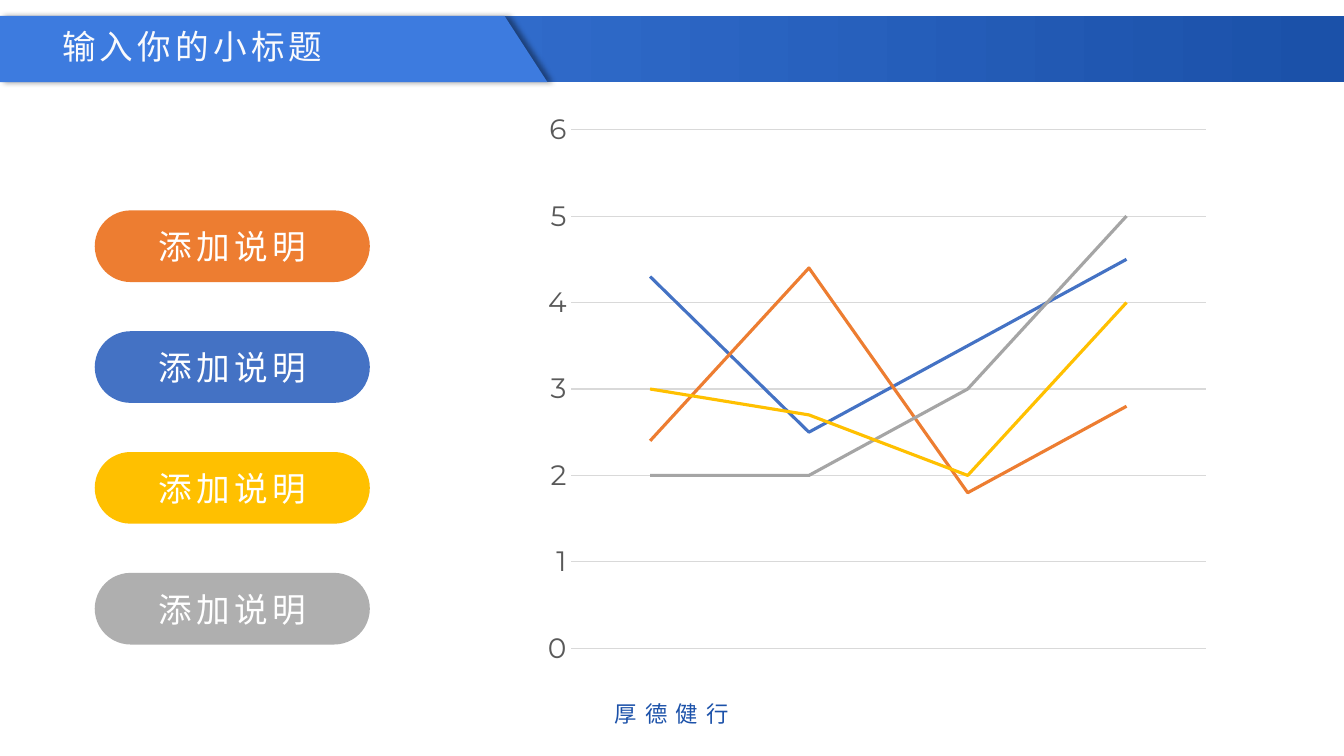
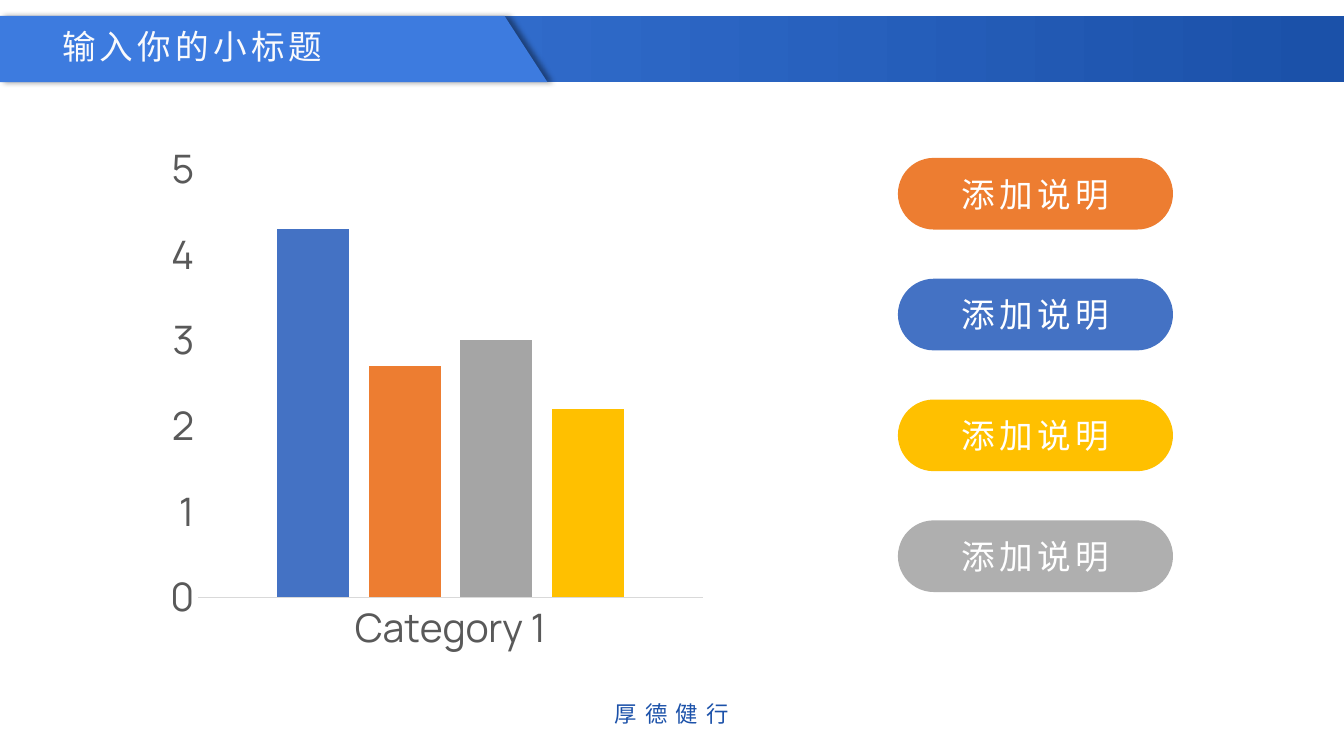
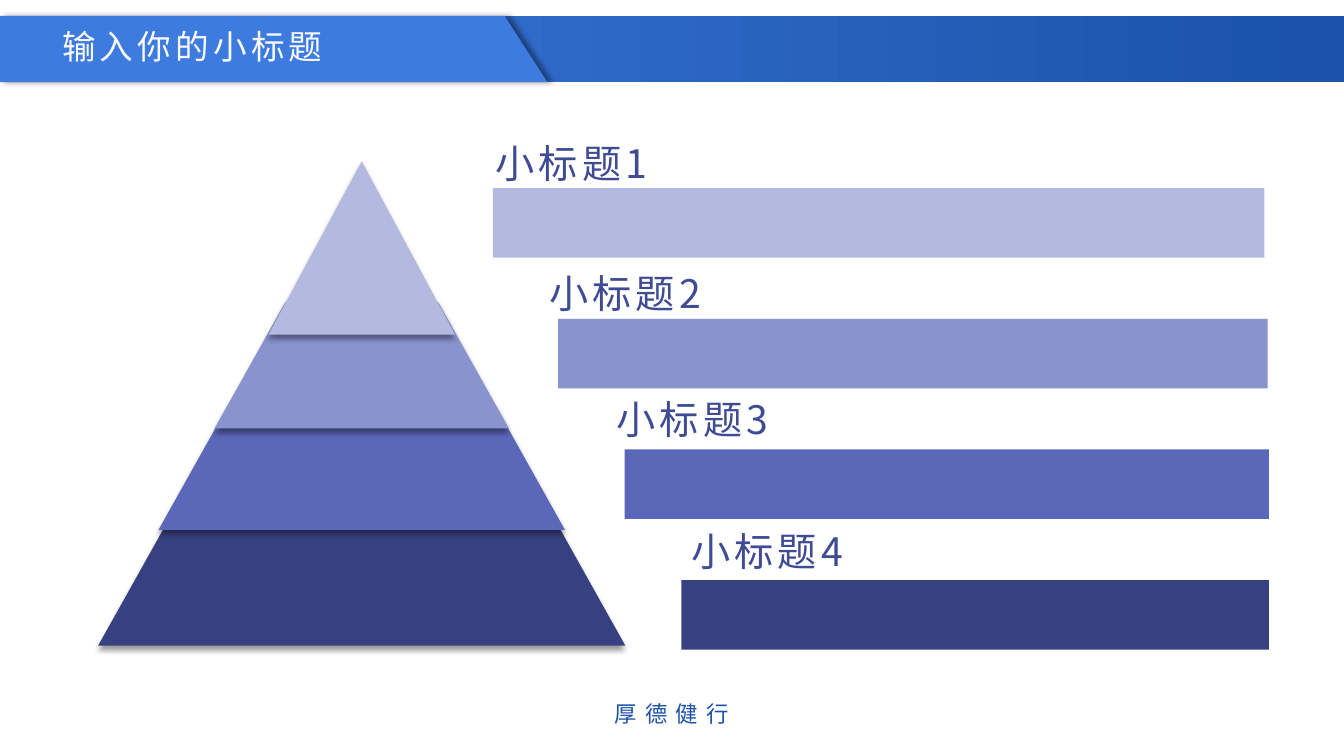
import pptx
import pptx.util
import pptx.chart.data
import pptx.dml.color
import pptx.enum.chart
import pptx.enum.shapes
import pptx.enum.text
import pptx.oxml
import pptx.oxml.ns

Pt = pptx.util.Pt
RGBColor = pptx.dml.color.RGBColor
SHAPE = pptx.enum.shapes.MSO_SHAPE
ALIGN = pptx.enum.text.PP_ALIGN
ANCHOR = pptx.enum.text.MSO_ANCHOR
KIND = pptx.enum.chart.XL_CHART_TYPE
TICK = pptx.enum.chart.XL_TICK_MARK
qn = pptx.oxml.ns.qn

# Colours
SKY = RGBColor(0x3D, 0x7B, 0xDF)
NAVY = RGBColor(0x1B, 0x51, 0xA9)
PALE = RGBColor(0xFA, 0xFA, 0xFC)
WHITE = RGBColor(0xFF, 0xFF, 0xFF)
BLUE = RGBColor(0x44, 0x72, 0xC4)
ORANGE = RGBColor(0xED, 0x7D, 0x31)
GOLD = RGBColor(0xFF, 0xC0, 0x00)
GREY = RGBColor(0xA5, 0xA5, 0xA5)
SILVER = RGBColor(0xAF, 0xAF, 0xAF)
RULE = RGBColor(0xD9, 0xD9, 0xD9)
AXIS = RGBColor(0x59, 0x59, 0x59)
INK = RGBColor(0x3F, 0x4B, 0x93)
TIERS = [RGBColor(0xB3, 0xB9, 0xDF), RGBColor(0x89, 0x93, 0xCD),
         RGBColor(0x5B, 0x68, 0xB9), RGBColor(0x37, 0x41, 0x81)]

# Shared sizes
WIDE, HIGH = 960, 540
FONT = "Noto Sans CJK SC"
BAND_TOP, BAND_HIGH = 11.4, 47.2
CHIPS = [ORANGE, BLUE, GOLD, SILVER]
CHIP_WIDE, CHIP_HIGH, CHIP_STEP = 196.5, 51.2, 86.3
LINES = [BLUE, ORANGE, GREY, GOLD]


# Text
def write(frame, text, size=24, color=WHITE, space=3, align=ALIGN.LEFT,
          lead=None, pad=(7.2, 3.6)):
    frame.word_wrap = True
    frame.auto_size = pptx.enum.text.MSO_AUTO_SIZE.NONE
    frame.vertical_anchor = ANCHOR.MIDDLE
    frame.margin_left = frame.margin_right = Pt(pad[0])
    frame.margin_top = frame.margin_bottom = Pt(pad[1])
    para = frame.paragraphs[0]
    para.alignment = align
    if lead:
        para.line_spacing = lead
    run = para.add_run()
    run.text = text
    run.font.size = Pt(size)
    run.font.name = FONT
    run.font.color.rgb = color
    props = run._r.get_or_add_rPr()
    props.set("spc", str(space * 100))
    east = pptx.oxml.parse_xml(
        f'<a:ea {pptx.oxml.ns.nsdecls("a")} typeface="{FONT}"/>')
    props.append(east)


def label(slide, text, left, top, width, height, **form):
    box = slide.shapes.add_textbox(Pt(left), Pt(top), Pt(width), Pt(height))
    write(box.text_frame, text, **form)


# Shapes
def paint(shape, color):
    shape.fill.solid()
    shape.fill.fore_color.rgb = color
    shape.line.fill.background()
    shape.shadow.inherit = False


def block(slide, kind, left, top, width, height, color):
    shape = slide.shapes.add_shape(kind, Pt(left), Pt(top), Pt(width), Pt(height))
    paint(shape, color)
    return shape


def shade(shape, angle):
    glow = pptx.oxml.parse_xml(
        f'<a:outerShdw {pptx.oxml.ns.nsdecls("a")} blurRad="{Pt(4)}" '
        f'dist="{Pt(3)}" dir="{angle * 60000}" algn="ctr" rotWithShape="0">'
        '<a:srgbClr val="000000"><a:alpha val="40000"/></a:srgbClr>'
        '</a:outerShdw>')
    shape.element.spPr.find(qn("a:effectLst")).append(glow)


# Frame that every slide shares
def start(deck):
    slide = deck.slides.add_slide(deck.slide_layouts[5])
    band = block(slide, SHAPE.RECTANGLE, 0, BAND_TOP, WIDE, BAND_HIGH, SKY)
    band.fill.gradient()
    band.fill.gradient_angle = 0
    for stop, color, place in zip(band.fill.gradient_stops, (SKY, NAVY), (0, 0.99)):
        stop.color.rgb = color
        stop.position = place

    base = BAND_TOP + BAND_HIGH
    pen = slide.shapes.build_freeform(Pt(0), Pt(BAND_TOP))
    pen.add_line_segments([(Pt(360.4), Pt(BAND_TOP)), (Pt(391), Pt(base)),
                           (Pt(0), Pt(base))], close=True)
    tab = pen.convert_to_shape()
    paint(tab, SKY)
    shade(tab, 0)

    title = slide.shapes.title
    title.left, title.top, title.width, title.height = map(Pt, (37.2, 15, 303, 36))
    write(title.text_frame, "输入你的小标题", color=PALE)
    title.element.getparent().append(title.element)  # bring to front

    label(slide, "厚德健行", 342.7, 496.8, 274.3, 22.3, size=16, color=NAVY,
          space=6, align=ALIGN.CENTER, lead=1.2, pad=(0, 0))
    return slide


def chips(slide, left, top):
    for row, color in enumerate(CHIPS):
        chip = block(slide, SHAPE.ROUNDED_RECTANGLE, left, top + row * CHIP_STEP,
                     CHIP_WIDE, CHIP_HIGH, color)
        chip.adjustments[0] = 0.5
        write(chip.text_frame, "添加说明", align=ALIGN.CENTER)


# Charts
def graph(slide, kind, place, names, rows, font, size, top):
    data = pptx.chart.data.CategoryChartData()
    data.categories = names
    for count, row in enumerate(rows, 1):
        data.add_series(f"Series {count}", row)
    chart = slide.shapes.add_chart(kind, *map(Pt, place), data).chart
    chart.has_legend = chart.has_title = False
    chart.font.name = font
    chart.font.size = Pt(size)
    chart.font.color.rgb = AXIS
    chart.plots[0].vary_by_categories = False
    scale = chart.value_axis
    scale.minimum_scale, scale.maximum_scale, scale.major_unit = 0, top, 1
    scale.has_major_gridlines = False
    scale.format.line.fill.background()
    scale.tick_labels.number_format = "0"
    scale.tick_labels.number_format_is_linked = False
    for axis in (scale, chart.category_axis):
        axis.major_tick_mark = axis.minor_tick_mark = TICK.NONE
    return chart


def stroke(line, color, width):
    line.color.rgb = color
    line.width = Pt(width)


# Slides
def trend(deck):
    slide = start(deck)
    rows = [(4.3, 2.5, 3.5, 4.5), (2.4, 4.4, 1.8, 2.8), (2, 2, 3, 5), (3, 2.7, 2, 4)]
    chart = graph(slide, KIND.LINE, (381.6, 72, 489.6, 411.8),
                  ["1", "2", "3", "4"], rows, "Montserrat", 20, 6)
    chart.category_axis.visible = False
    chart.value_axis.has_major_gridlines = True
    stroke(chart.value_axis.major_gridlines.format.line, RULE, 0.75)
    for line, color in zip(chart.plots[0].series, LINES):
        line.smooth = False
        stroke(line.format.line, color, 2.25)
    chips(slide, 67.7, 150.3)


def columns(deck):
    slide = start(deck)
    chart = graph(slide, KIND.COLUMN_CLUSTERED, (113.8, 94.3, 396, 380.2),
                  ["Category 1"], [(4.3,), (2.7,), (3,), (2.2,)], "Manrope", 28, 5)
    stroke(chart.category_axis.format.line, RULE, 0.75)
    plot = chart.plots[0]
    plot.gap_width, plot.overlap = 219, -27
    for bar, color in zip(plot.series, LINES):
        bar.format.fill.solid()
        bar.format.fill.fore_color.rgb = color
    chips(slide, 641.4, 112.8)


def pyramid(deck):
    slide = start(deck)
    # Layers, from the base up: top, width, height
    layers = [(115.2, 133.2, 123.8), (216, 210.2, 90),
              (288.4, 290.2, 90), (371.2, 376.6, 90)]
    middle = 258.4
    for row in (3, 2, 1, 0):
        top, width, height = layers[row]
        kind = SHAPE.TRAPEZOID if row else SHAPE.ISOSCELES_TRIANGLE
        layer = block(slide, kind, middle - width / 2, top, width, height, TIERS[row])
        if row:
            layer.adjustments[0] = 0.56
        shade(layer, 90)

    # Bars with headings: bar left, bar right, heading left, heading top
    bars = [(352.1, 903.2, 347, 95.8), (398.6, 905.4, 385.2, 188.8),
            (446.2, 906.4, 433.4, 278.8), (486.7, 906.4, 486.7, 373)]
    for row, (left, right, head, top) in enumerate(bars):
        block(slide, SHAPE.RECTANGLE, left, 134.4 + row * 93.3, right - left, 49.7,
              TIERS[row])
        label(slide, f"小标题{row + 1}", head, top, 152, 41, size=28, color=INK)


def main():
    deck = pptx.Presentation()
    deck.slide_width, deck.slide_height = Pt(WIDE), Pt(HIGH)
    trend(deck)
    columns(deck)
    pyramid(deck)
    deck.save("out.pptx")


if __name__ == "__main__":
    main()
